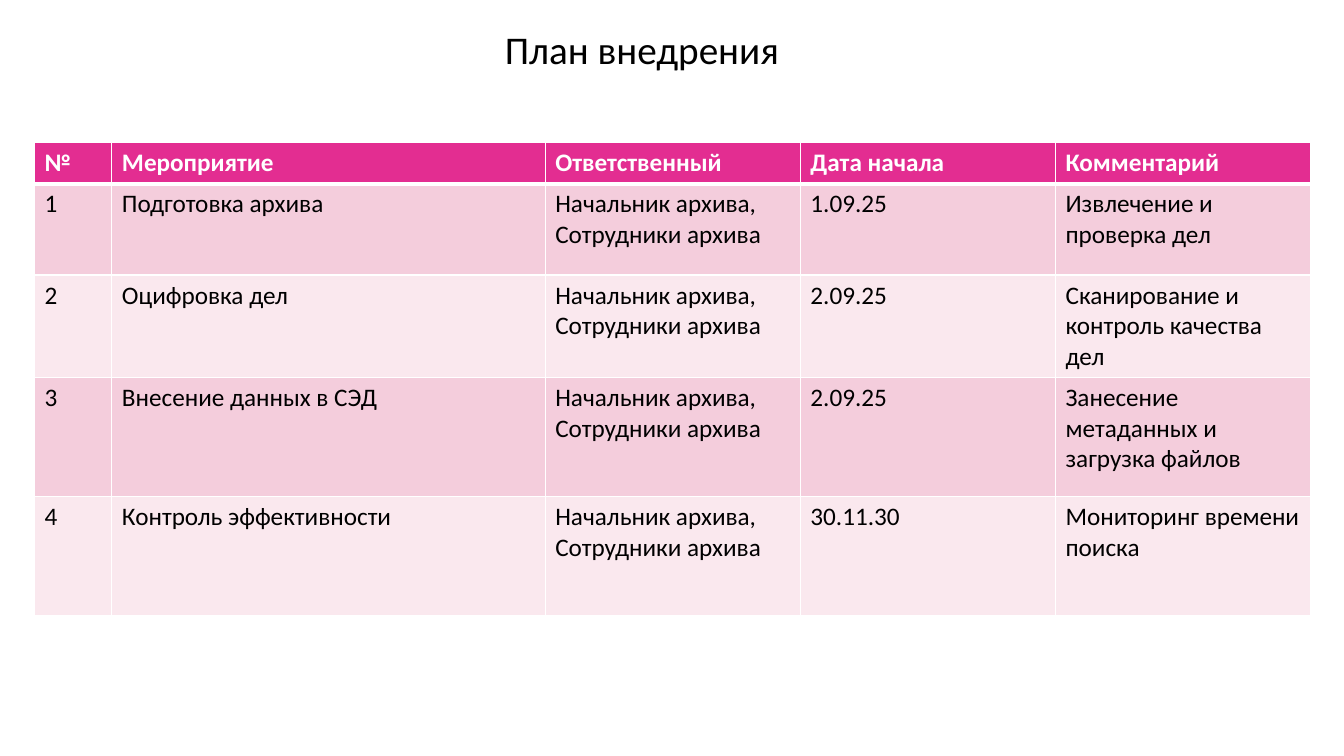
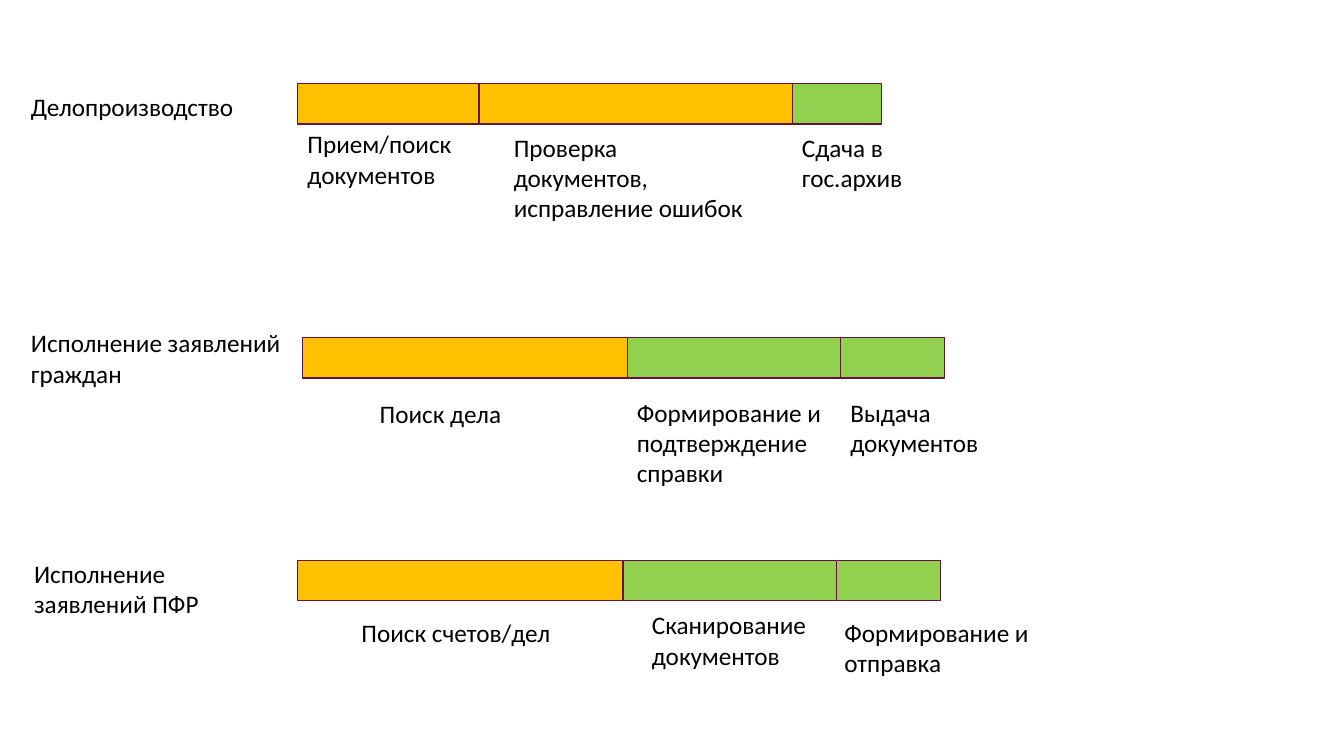
from dataclasses import dataclass

from lxml import etree
from pptx import Presentation
from pptx.dml.color import RGBColor
from pptx.enum.shapes import MSO_SHAPE as Preset
from pptx.enum.text import MSO_ANCHOR as Anchor, MSO_AUTO_SIZE as AutoSize, PP_ALIGN as Align
from pptx.oxml.ns import qn
from pptx.util import Cm, Pt

FONT = "Calibri"
BODY_SIZE = 18
TITLE_SIZE = 28
COLORS = {
    "text": "000000",
    "white": "FFFFFF",
    "header": "E32D91",
    "band_dark": "F4CDDC",
    "band_light": "FAE8EE",
    "manual": "FFC000",
    "quick": "92D050",
    "outline": "631440",
}
TITLE_ONLY, BLANK = 5, 6
BAR_HEIGHT = 1.02


# Lengths in centimetres
@dataclass(frozen=True)
class Label:
    text: str
    left: float
    top: float
    width: float
    lines: int = 1


@dataclass(frozen=True)
class Stage:
    width: float
    color: str
    label: Label


@dataclass(frozen=True)
class Process:
    caption: Label
    left: float
    top: float
    stages: tuple[Stage, ...]


STAFF = "Начальник архива, Сотрудники архива"
PLAN_ROWS = (
    ("№", "Мероприятие", "Ответственный", "Дата начала", "Комментарий"),
    ("1", "Подготовка архива", STAFF, "1.09.25", "Извлечение и проверка дел"),
    ("2", "Оцифровка дел", STAFF, "2.09.25", "Сканирование и контроль качества дел"),
    ("3", "Внесение данных в СЭД", STAFF, "2.09.25", "Занесение метаданных и загрузка файлов"),
    ("4", "Контроль эффективности", STAFF, "30.11.30", "Мониторинг времени поиска"),
)
COLUMN_WIDTHS = (1.95, 10.92, 6.43, 6.43, 6.43)
ROW_HEIGHTS = (1.02, 2.3, 2.56, 3, 3)

PROCESSES = (
    Process(Label("Делопроизводство", 0.53, 2.18, 5.97), 7.5, 2.11, (
        Stage(4.57, "manual", Label("Прием/поиск документов", 7.5, 3.12, 6.6, 2)),
        Stage(7.9, "manual", Label("Проверка документов, исправление ошибок", 12.7, 3.2, 6.6, 3)),
        Stage(2.24, "quick", Label("Сдача в гос.архив", 19.96, 3.2, 3.4, 2)),
    )),
    Process(Label("Исполнение заявлений граждан", 0.53, 8.13, 6.91, 2), 7.62, 8.51, (
        Stage(8.2, "manual", Label("Поиск дела", 9.32, 9.9, 5.5)),
        Stage(5.36, "quick", Label("Формирование и подтверждение справки", 15.8, 9.88, 5.84, 3)),
        Stage(2.62, "quick", Label("Выдача документов", 21.18, 9.88, 3.9, 2)),
    )),
    Process(Label("Исполнение заявлений ПФР", 0.61, 13.94, 5.97, 2), 7.5, 14.12, (
        Stage(8.2, "manual", Label("Поиск счетов/дел", 8.86, 15.42, 5.5)),
        Stage(5.38, "quick", Label("Сканирование документов", 16.18, 15.24, 5.84, 2)),
        Stage(2.62, "quick", Label("Формирование и отправка", 21.03, 15.42, 5.84, 2)),
    )),
)


def rgb(name: str) -> RGBColor:
    return RGBColor.from_string(COLORS[name])


def write(frame, text: str, size: int = BODY_SIZE, color: str = "text", bold: bool = False) -> None:
    frame.text = text
    frame.word_wrap = True
    para = frame.paragraphs[0]
    para.alignment = Align.LEFT
    for span in para.runs:
        span.font.name = FONT
        span.font.size = Pt(size)
        span.font.bold = bold
        span.font.color.rgb = rgb(color)


def add_title(page, text: str) -> None:
    title = page.shapes.title
    title.left, title.top, title.width, title.height = Cm(12.47), Cm(0.5), Cm(8.36), Cm(1.45)
    write(title.text_frame, text, TITLE_SIZE)
    title.text_frame.vertical_anchor = Anchor.TOP
    title.text_frame.auto_size = AutoSize.NONE


def add_label(page, label: Label) -> None:
    height = 0.25 + 0.77 * label.lines
    box = page.shapes.add_textbox(Cm(label.left), Cm(label.top), Cm(label.width), Cm(height))
    write(box.text_frame, label.text)
    box.text_frame.auto_size = AutoSize.SHAPE_TO_FIT_TEXT


def set_borders(cell, **widths: float) -> None:
    """Draw white borders; the keys are the sides L, R, T and B."""
    properties = cell._tc.get_or_add_tcPr()
    for side, width in widths.items():
        line = etree.SubElement(properties, qn(f"a:ln{side}"), w=str(Pt(width)))
        fill = etree.SubElement(line, qn("a:solidFill"))
        etree.SubElement(fill, qn("a:srgbClr"), val=COLORS["white"])


def add_plan_table(page) -> None:
    frame = page.shapes.add_table(
        len(PLAN_ROWS), len(COLUMN_WIDTHS), Cm(0.87), Cm(3.6),
        Cm(sum(COLUMN_WIDTHS)), Cm(sum(ROW_HEIGHTS)))
    table = frame.table
    for column, width in zip(table.columns, COLUMN_WIDTHS):
        column.width = Cm(width)
    for row_index, (row, height, texts) in enumerate(zip(table.rows, ROW_HEIGHTS, PLAN_ROWS)):
        row.height = Cm(height)
        is_header = row_index == 0
        band = "header" if is_header else ("band_light", "band_dark")[row_index % 2]
        for cell, text in zip(row.cells, texts):
            set_borders(cell, L=1, R=1, T=3 if row_index == 1 else 1, B=3 if is_header else 1)
            cell.fill.solid()
            cell.fill.fore_color.rgb = rgb(band)
            write(cell.text_frame, text, color="white" if is_header else "text", bold=is_header)


def add_bar(page, left: float, top: float, stage: Stage) -> None:
    bar = page.shapes.add_shape(
        Preset.RECTANGLE, Cm(left), Cm(top), Cm(stage.width), Cm(BAR_HEIGHT))
    bar.shadow.inherit = False
    bar.fill.solid()
    bar.fill.fore_color.rgb = rgb(stage.color)
    bar.line.color.rgb = rgb("outline")
    bar.line.width = Pt(1)


def add_process(page, process: Process) -> None:
    add_label(page, process.caption)
    left = process.left
    for stage in process.stages:
        add_bar(page, left, process.top, stage)
        add_label(page, stage.label)
        left += stage.width


def main() -> None:
    deck = Presentation()
    deck.slide_width, deck.slide_height = Cm(33.87), Cm(19.05)

    # Implementation plan
    page = deck.slides.add_slide(deck.slide_layouts[TITLE_ONLY])
    add_title(page, "План внедрения")
    add_plan_table(page)

    # Process timelines
    page = deck.slides.add_slide(deck.slide_layouts[BLANK])
    for process in PROCESSES:
        add_process(page, process)

    deck.save("out.pptx")


if __name__ == "__main__":
    main()
